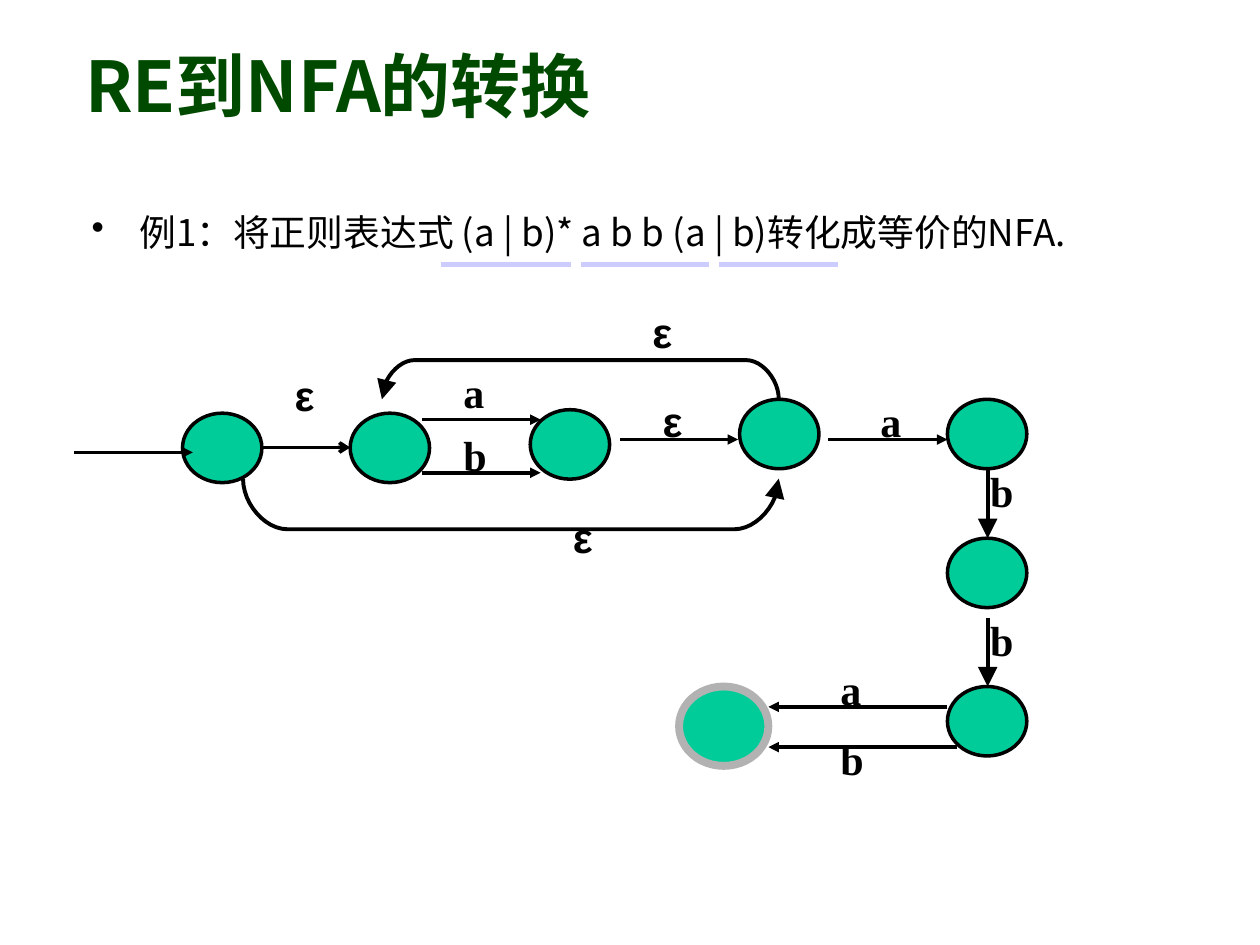
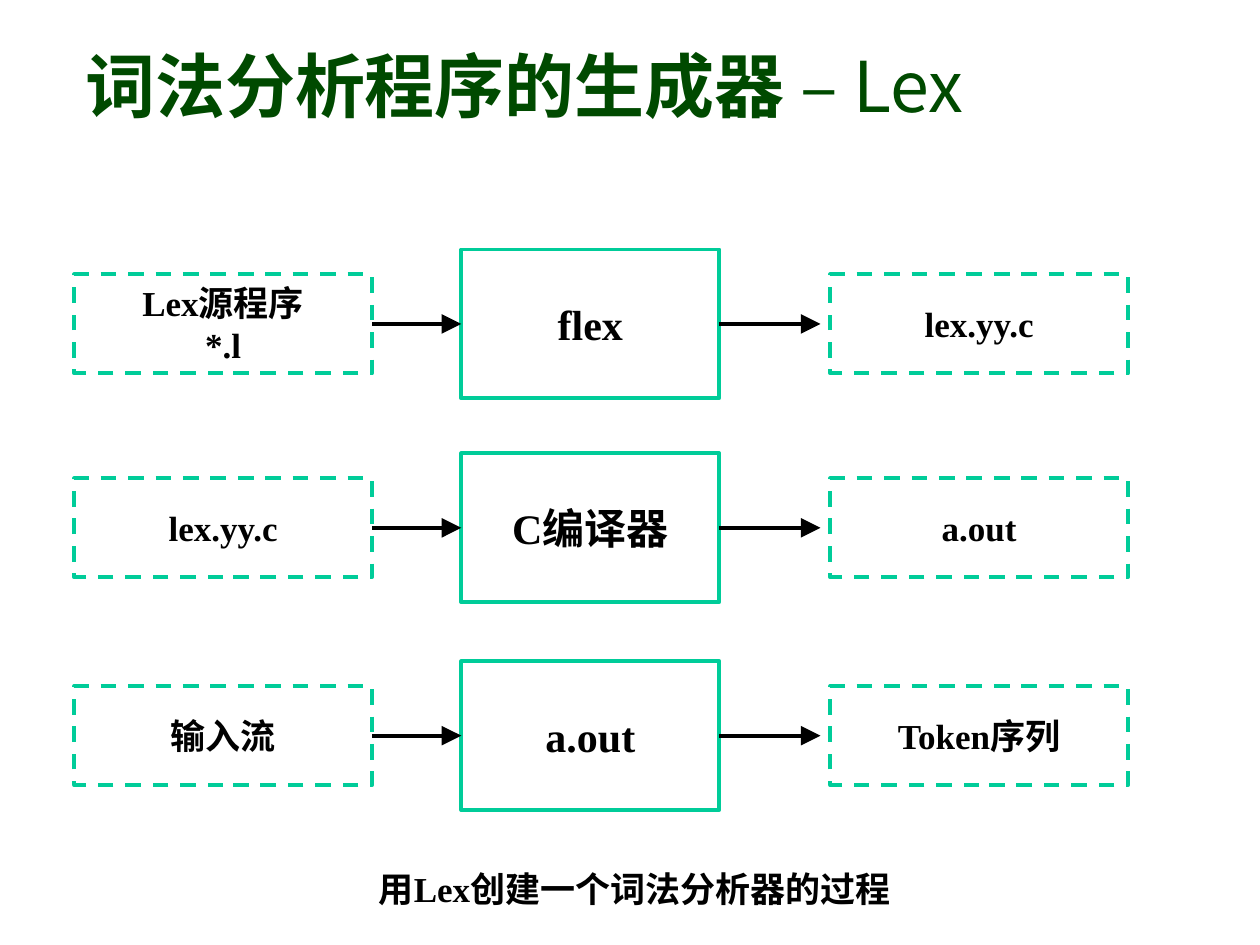
"""Build two slides: an NFA made from a regular expression, and the Lex workflow."""
from lxml import etree
from pptx import Presentation
from pptx import util as u
from pptx.dml import color
from pptx.enum import dml, shapes, text
from pptx.oxml import ns

GREEN, DARK_GREEN, BLACK = "00CC99", "004A00", "000000"
GREY, LILAC = "B2B2B2", "CCCCFF"
SANS, SERIF = "Noto Sans CJK KR", "Times New Roman"
hue = color.RGBColor.from_string


def write(holder, content, font=SERIF, size=20, ink=BLACK, bold=True,
          align=text.PP_ALIGN.LEFT, anchor=text.MSO_ANCHOR.TOP, wrap=True):
    """Append text to the last paragraph of a shape; each line break opens a new one."""
    frame = holder.text_frame
    frame.word_wrap = wrap
    frame.vertical_anchor = anchor
    for number, line in enumerate(content.split("\n")):
        paragraph = frame.add_paragraph() if number else frame.paragraphs[-1]
        paragraph.alignment = align
        run = paragraph.add_run()
        run.text = line
        run.font.size, run.font.bold = u.Pt(size), bold
        run.font.color.rgb = hue(ink)
        run.font.name = font
        etree.SubElement(run.font._element, ns.qn("a:ea"), typeface=SANS)


def outline(item, ink=BLACK, width=2.25, end=None, head="triangle"):
    """Style the line of a shape or connector, with an arrowhead if an end is named."""
    item.line.color.rgb = hue(ink)
    item.line.width = u.Pt(width)
    if end:
        length = "lg" if width > 2 else "med"
        etree.SubElement(item.line._get_or_add_ln(), ns.qn("a:" + end),
                         type=head, w=length, len=length)
    if hasattr(item, "shadow"):
        item.shadow.inherit = False
    else:
        etree.SubElement(item._element.spPr, ns.qn("a:effectLst"))


deck = Presentation()
deck.slide_width, deck.slide_height = u.Cm(25.4), u.Cm(19.05)
pages, titles = [], []
for heading in ("RE到NFA的转换", "词法分析程序的生成器 "):
    page = deck.slides.add_slide(deck.slide_layouts[6])
    title = page.shapes.add_textbox(u.Cm(1.47), u.Cm(0.43), u.Cm(21.56), u.Cm(2.54))
    write(title, heading, font=SANS, size=40, ink=DARK_GREEN, anchor=text.MSO_ANCHOR.MIDDLE)
    pages.append(page.shapes)
    titles.append(title)
nfa, lex = pages

example = nfa.add_textbox(u.Cm(1.6), u.Cm(4.11), u.Cm(23.5), u.Cm(1.6))
indent = example.text_frame.paragraphs[0]._p.get_or_add_pPr()
indent.set("marL", str(u.Cm(0.96)))
indent.set("indent", str(u.Cm(-0.96)))
etree.SubElement(indent, ns.qn("a:buChar"), char="•")
write(example, "例1：将正则表达式 (a | b)* a b b (a | b)转化成等价的NFA.",
      font=SANS, size=21, bold=False)

for left, right in ((8.89, 11.51), (11.71, 14.3), (14.5, 16.89)):
    underline = nfa.add_connector(shapes.MSO_CONNECTOR.STRAIGHT,
                                  u.Cm(left), u.Cm(5.33), u.Cm(right), u.Cm(5.33))
    outline(underline, LILAC, 3)

steps = [n / 12 for n in range(13)]
bend = [(1.5 * t**2 - 0.5 * t**3, 1.5 * t - 0.5 * t**3) for t in steps]
for left, right, base, peak, corner, end in (
    (4.9, 15.7, 9.65, 10.67, 0.89, "tailEnd"),
    (7.7, 15.7, 8.05, 7.26, 0.66, "headEnd"),
):
    rise = [(left + corner * x, base + (peak - base) * y) for x, y in bend]
    fall = [(left + right - x, y) for x, y in reversed(rise)]
    points = [(u.Cm(x), u.Cm(y)) for x, y in rise + fall]
    builder = nfa.build_freeform(*points[0])
    builder.add_line_segments(points[1:], close=False)
    epsilon_loop = builder.convert_to_shape()
    epsilon_loop.fill.background()
    outline(epsilon_loop, end=end)

plain = (1.6, 1.4, BLACK, 2)
accepting = (1.8, 1.6, GREY, 4.5)
for left, top, (width, height, ink, weight) in (
    (3.68, 8.33, plain), (7.06, 8.33, plain), (10.69, 8.26, plain),
    (14.91, 8.05, plain), (19.1, 8.05, plain), (19.1, 10.85, plain),
    (19.1, 13.84, plain), (13.69, 13.84, accepting),
):
    state = nfa.add_shape(shapes.MSO_SHAPE.OVAL,
                          u.Cm(left), u.Cm(top), u.Cm(width), u.Cm(height))
    state.fill.solid()
    state.fill.fore_color.rgb = hue(GREEN)
    outline(state, ink, weight)

for x1, y1, x2, y2, weight, head in (
    (1.5, 9.12, 3.89, 9.12, 2, "triangle"),
    (5.28, 9.02, 7.06, 9.02, 2, "arrow"),
    (8.51, 8.46, 10.9, 8.46, 2, "triangle"),
    (8.51, 9.53, 10.9, 9.53, 2, "triangle"),
    (12.5, 8.86, 14.88, 8.86, 2, "triangle"),
    (16.69, 8.86, 19.1, 8.86, 2, "triangle"),
    (19.91, 9.45, 19.91, 10.85, 2.25, "triangle"),
    (19.91, 12.45, 19.91, 13.84, 2.25, "triangle"),
    (19.1, 14.25, 15.49, 14.25, 2, "triangle"),
    (19.3, 15.06, 15.49, 15.06, 2, "triangle"),
):
    transition = nfa.add_connector(shapes.MSO_CONNECTOR.STRAIGHT,
                                   u.Cm(x1), u.Cm(y1), u.Cm(x2), u.Cm(y2))
    outline(transition, width=weight, end="tailEnd", head=head)

for symbol, font, places in (
    ("a", SERIF, ((9.09, 7.26), (17.5, 7.85), (16.69, 13.26))),
    ("b", SERIF, ((9.09, 8.53), (19.71, 9.25), (19.71, 12.27), (16.69, 14.66))),
    ("ε", "Arial", ((5.69, 7.32), (12.9, 6.05), (13.11, 7.85), (11.3, 10.19))),
):
    for left, top in places:
        label = nfa.add_textbox(u.Cm(left), u.Cm(top), u.Cm(1), u.Cm(1.27))
        write(label, symbol, font=font, size=24)

write(titles[1], "– ", size=40, ink=DARK_GREEN, bold=False, anchor=text.MSO_ANCHOR.MIDDLE)
write(titles[1], "Lex", font=SANS, size=40, ink=DARK_GREEN, bold=False,
      anchor=text.MSO_ANCHOR.MIDDLE)

centred = dict(align=text.PP_ALIGN.CENTER, anchor=text.MSO_ANCHOR.MIDDLE, wrap=False)
columns = ((1.5, 6, 2, 20, True), (9.3, 5.2, 3, 24, False), (16.74, 6, 2, 20, True))
for middle, stages in (
    (6.53, ("Lex源程序\n*.l", "flex", "lex.yy.c")),
    (10.64, ("lex.yy.c", "C编译器", "a.out")),
    (14.83, ("输入流", "a.out", "Token序列")),
):
    boxes = []
    for stage, (left, width, height, size, dashed) in zip(stages, columns):
        box = lex.add_shape(shapes.MSO_SHAPE.RECTANGLE, u.Cm(left),
                            u.Cm(middle - height / 2), u.Cm(width), u.Cm(height))
        box.fill.background()
        outline(box, GREEN)
        if dashed:
            box.line.dash_style = dml.MSO_LINE.DASH
        write(box, stage, size=size, **centred)
        boxes.append(box)
    source, tool, result = boxes
    for giver in (source, tool):
        flow = lex.add_connector(shapes.MSO_CONNECTOR.STRAIGHT, u.Cm(14.5),
                                 u.Cm(middle), u.Cm(16.54), u.Cm(middle))
        flow.begin_connect(giver, 3)
        if giver is source:
            flow.end_connect(tool, 1)
        outline(flow, end="tailEnd")

caption = lex.add_textbox(u.Cm(4.7), u.Cm(16.92), u.Cm(16.2), u.Cm(2))
write(caption, "用Lex创建一个词法分析器的过程", **centred)

deck.save("out.pptx")
